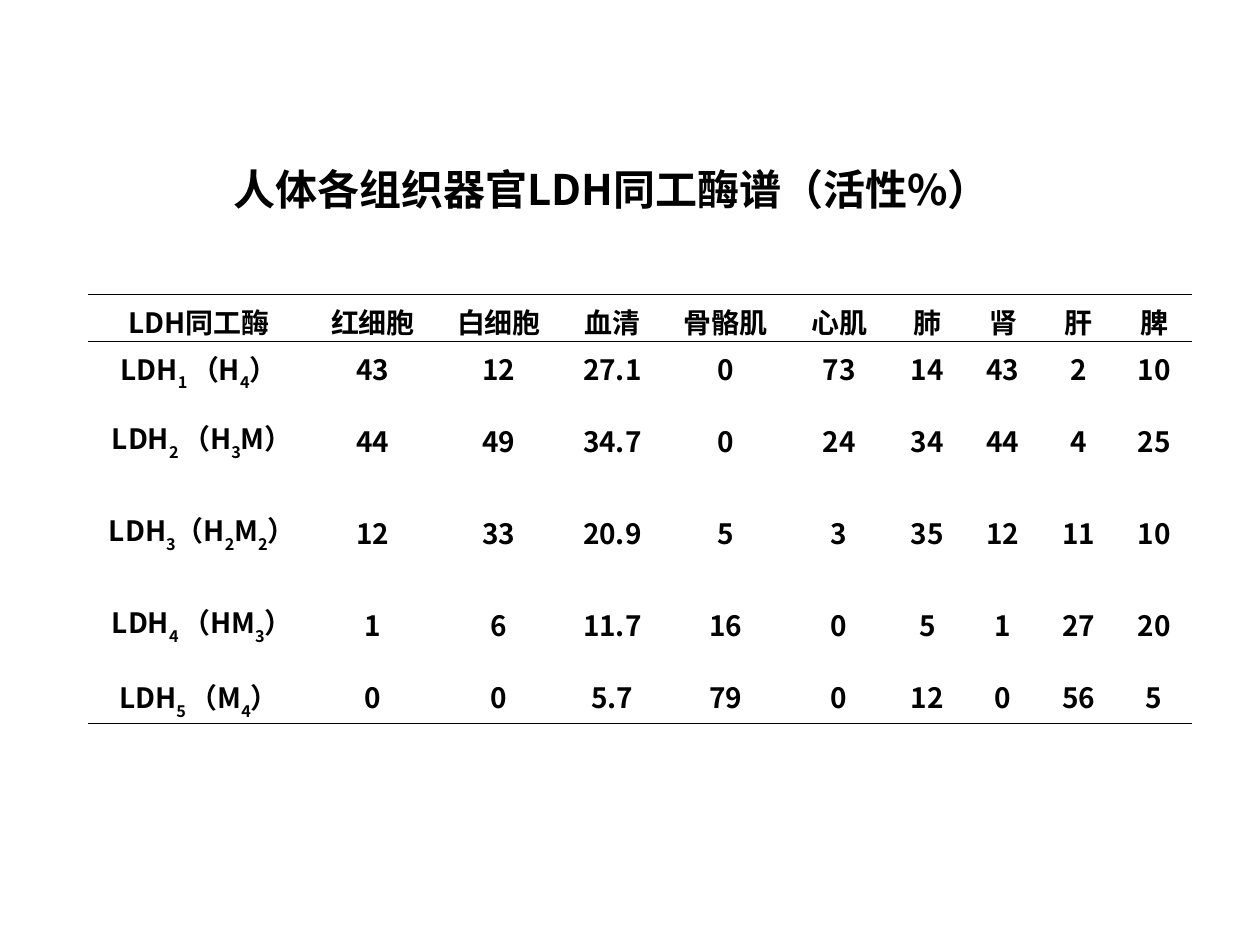
import dataclasses
import typing

import lxml.etree
import pptx
import pptx.dml.color
import pptx.enum.text
import pptx.oxml.ns
import pptx.util


@dataclasses.dataclass(frozen=True)
class Theme:
    font: str = "Noto Sans CJK SC"
    ink: str = "000000"
    title_size: float = 24
    table_size: float = 16
    rule_width: float = 0.75


@dataclasses.dataclass(frozen=True)
class Frame:
    left: float
    top: float
    width: float
    height: float


class Isoenzyme(typing.NamedTuple):
    label: str
    activities: str
    height: float


THEME = Theme()
GRID = 0.1
TITLE = "人体各组织器官LDH同工酶谱（活性%）"
TITLE_FRAME = Frame(17.5, 12.5, 65.8, 5)
TABLE_FRAME = Frame(7, 23.4, 87.8, 31.5)
COLUMNS = (17.6, 10, 10, 8, 10, 8, 6, 6, 6, 6)
SUBSCRIPT_MARK = "|"
NO_STYLE = "{2D5ABB26-0587-4C30-8999-92F81FD0307C}"
ROWS = (
    Isoenzyme("LDH同工酶", "红细胞 白细胞 血清 骨骼肌 心肌 肺 肾 肝 脾", 3.7),
    Isoenzyme("LDH|1 |（H|4|）", "43 12 27.1 0 73 14 43 2 10", 4.2),
    Isoenzyme(" LDH|2 |（H|3|M）", "44 49 34.7 0 24 34 44 4 25", 7.3),
    Isoenzyme(" LDH|3|（H|2|M|2|）", "12 33 20.9 5 3 35 12 11 10", 7.3),
    Isoenzyme(" LDH|4 |（HM|3|）", "1 6 11.7 16 0 5 1 27 20", 7.3),
    Isoenzyme("LDH|5 |（M|4|）", "0 0 5.7 79 0 12 0 56 5", 4.2),
)


def grid(count: float) -> pptx.util.Length:
    return pptx.util.Inches(count * GRID)


def apply(target: typing.Any, values: dict[str, typing.Any]) -> None:
    for name, value in values.items():
        setattr(target, name, value)


def place(shape: typing.Any, frame: Frame) -> None:
    apply(shape, {name: grid(value) for name, value in dataclasses.asdict(frame).items()})


def add_element(parent: typing.Any, tag: str, **attributes: str) -> typing.Any:
    return lxml.etree.SubElement(parent, pptx.oxml.ns.qn(tag), attributes)


def write_text(paragraph: typing.Any, text: str, size: float) -> None:
    for index, part in enumerate(text.split(SUBSCRIPT_MARK)):
        run = paragraph.add_run()
        run.text = part
        apply(run.font, {"size": pptx.util.Pt(size), "bold": True, "name": THEME.font})
        run.font.color.rgb = pptx.dml.color.RGBColor.from_string(THEME.ink)
        properties = run.font._element
        add_element(properties, "a:ea", typeface=THEME.font)
        if index % 2:
            properties.set("baseline", "-30000")


def draw_borders(cell: typing.Any, ruled: set[str]) -> None:
    properties = cell._tc.get_or_add_tcPr()
    for side in ("lnL", "lnR", "lnT", "lnB"):
        width = pptx.util.Pt(THEME.rule_width)
        line = add_element(properties, f"a:{side}", w=str(int(width)))
        if side in ruled:
            add_element(add_element(line, "a:solidFill"), "a:srgbClr", val=THEME.ink)
        else:
            add_element(line, "a:noFill")


def ruled_sides(row_index: int) -> set[str]:
    sides = set()
    if row_index <= 1:
        sides.add("lnT")
    if row_index in (0, len(ROWS) - 1):
        sides.add("lnB")
    return sides


def add_title(slide: typing.Any) -> None:
    title = slide.shapes.title
    place(title, TITLE_FRAME)
    apply(title.text_frame, {
        "word_wrap": False,
        "auto_size": pptx.enum.text.MSO_AUTO_SIZE.SHAPE_TO_FIT_TEXT,
        "vertical_anchor": pptx.enum.text.MSO_ANCHOR.MIDDLE,
    })
    paragraph = title.text_frame.paragraphs[0]
    paragraph.alignment = pptx.enum.text.PP_ALIGN.LEFT
    write_text(paragraph, TITLE, THEME.title_size)


def add_isoenzyme_table(slide: typing.Any) -> None:
    shape = slide.shapes.add_table(len(ROWS), len(COLUMNS), 0, 0, 0, 0)
    table = shape.table
    apply(table, {"first_row": False, "horz_banding": False})
    table._tbl.tblPr.find(pptx.oxml.ns.qn("a:tableStyleId")).text = NO_STYLE
    for column, width in zip(table.columns, COLUMNS):
        column.width = grid(width)
    for row_index, isoenzyme in enumerate(ROWS):
        table.rows[row_index].height = grid(isoenzyme.height)
        texts = (isoenzyme.label, *isoenzyme.activities.split())
        for cell, text in zip(table.rows[row_index].cells, texts):
            draw_borders(cell, ruled_sides(row_index))
            cell.fill.background()
            cell.vertical_anchor = pptx.enum.text.MSO_ANCHOR.MIDDLE
            paragraph = cell.text_frame.paragraphs[0]
            paragraph.alignment = pptx.enum.text.PP_ALIGN.CENTER
            write_text(paragraph, text, THEME.table_size)
    place(shape, TABLE_FRAME)


def main() -> None:
    presentation = pptx.Presentation()
    apply(presentation, {"slide_width": grid(100), "slide_height": grid(75)})
    slide = presentation.slides.add_slide(presentation.slide_layouts[5])
    add_isoenzyme_table(slide)
    add_title(slide)
    presentation.save("out.pptx")


if __name__ == "__main__":
    main()
